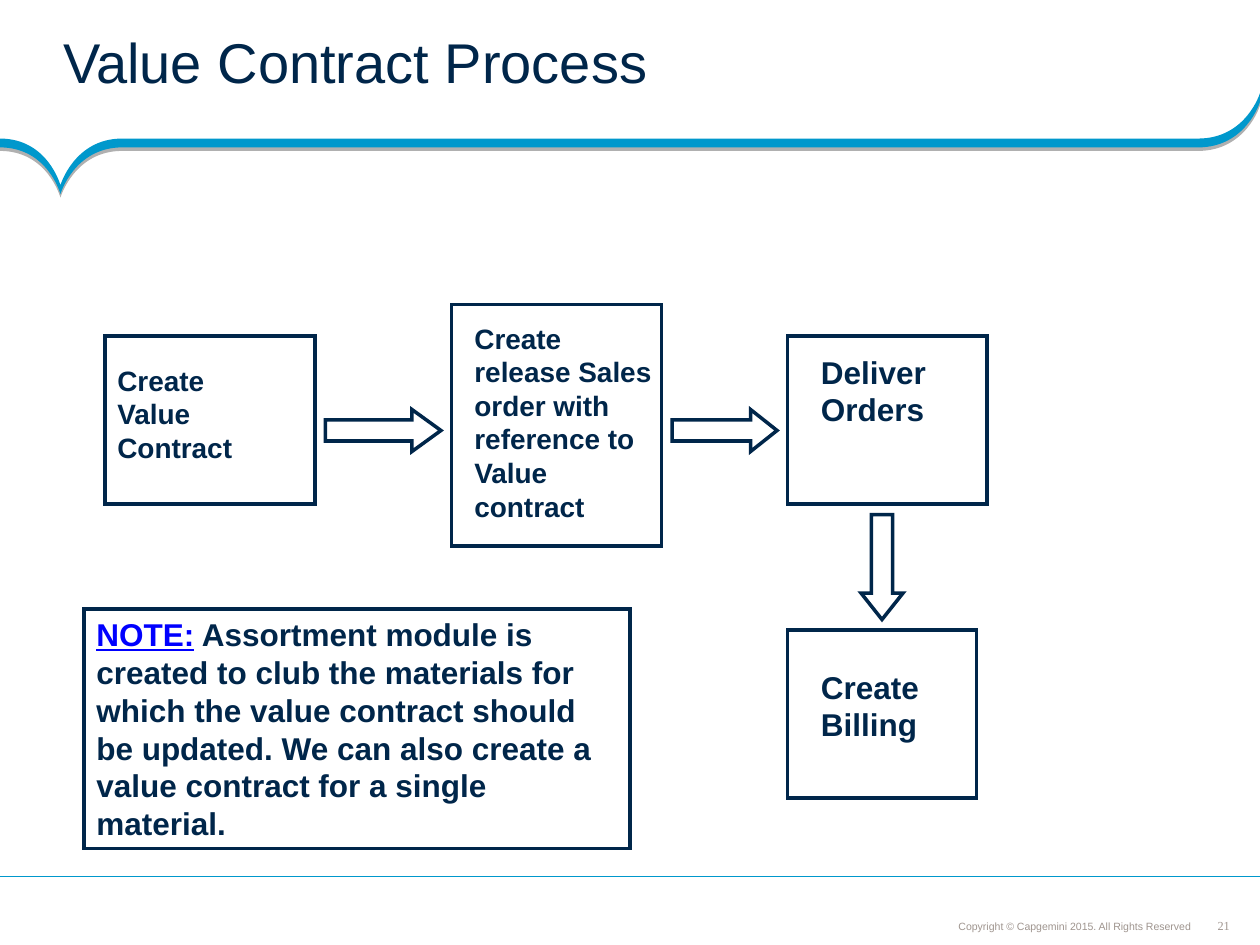
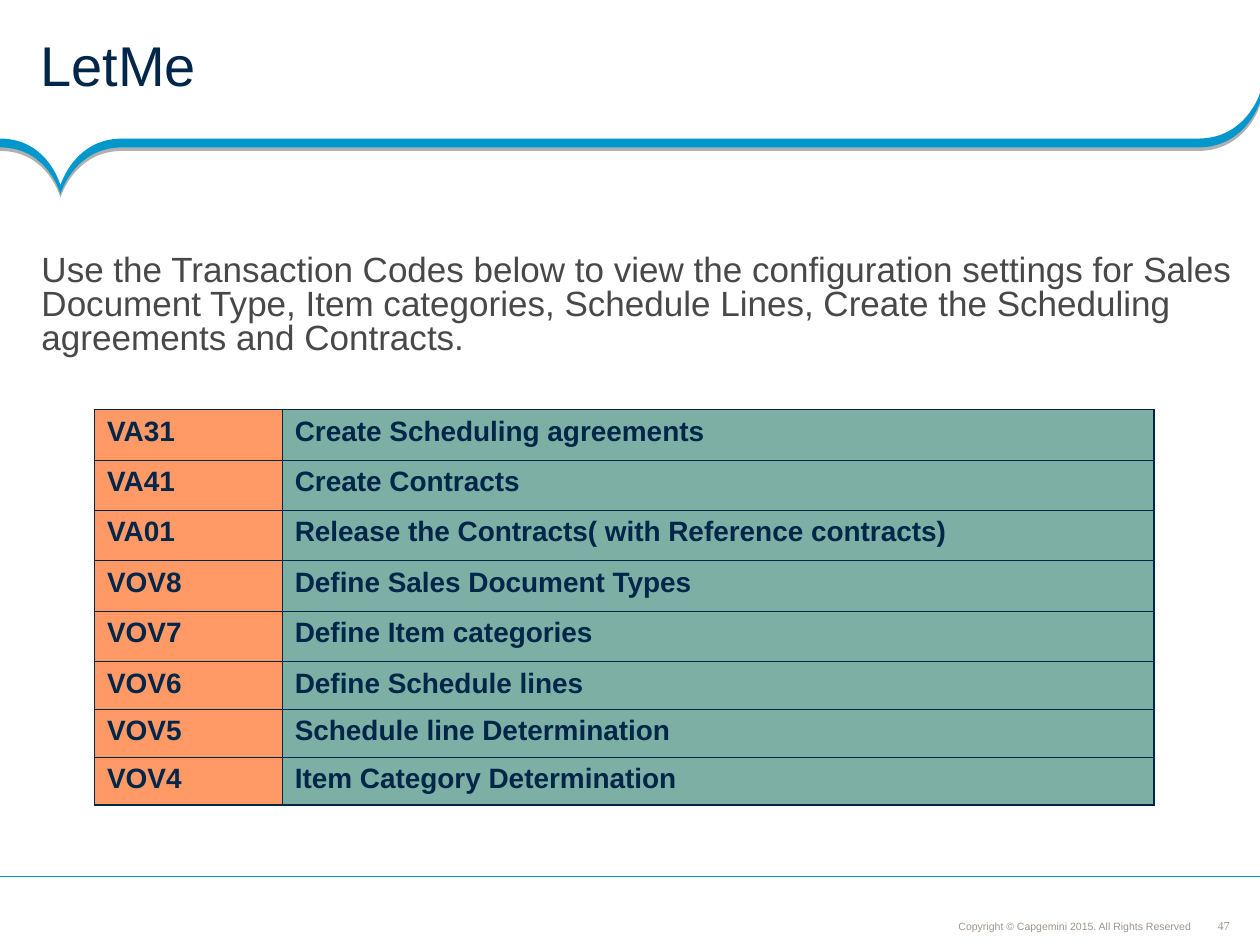
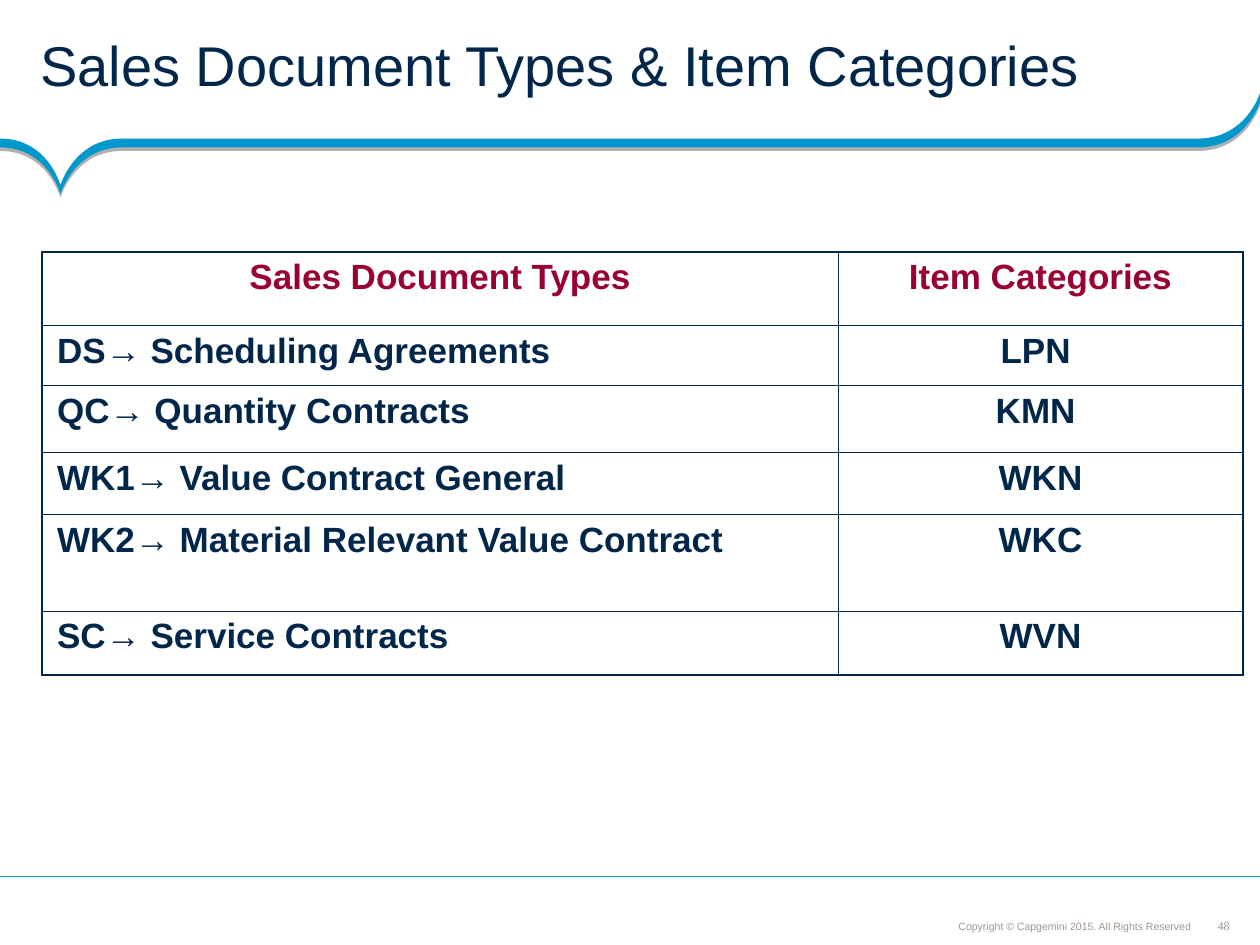
from lxml import etree
from pptx import Presentation
from pptx.dml.color import RGBColor
from pptx.enum.shapes import MSO_CONNECTOR, MSO_SHAPE
from pptx.enum.text import MSO_ANCHOR, PP_ALIGN
from pptx.oxml.ns import qn
from pptx.util import Inches, Pt

NAVY = RGBColor(0x00, 0x26, 0x4A)
BLUE = RGBColor(0x00, 0x98, 0xCC)
LINK = RGBColor(0x00, 0x00, 0xFF)
GREY = RGBColor(0x9F, 0x95, 0x8F)
BODY = RGBColor(0x48, 0x48, 0x48)
WINE = RGBColor(0x99, 0x00, 0x33)
ORANGE = RGBColor(0xFF, 0x99, 0x66)
GREEN = RGBColor(0x7D, 0xAF, 0xA5)
RECT, RIGHT_ARROW, DOWN_ARROW = MSO_SHAPE.RECTANGLE, MSO_SHAPE.RIGHT_ARROW, MSO_SHAPE.DOWN_ARROW
TOP, MIDDLE, BOTTOM = MSO_ANCHOR.TOP, MSO_ANCHOR.MIDDLE, MSO_ANCHOR.BOTTOM
LEFT, CENTER, RIGHT = PP_ALIGN.LEFT, PP_ALIGN.CENTER, PP_ALIGN.RIGHT

GRID = Inches(1) // 12
COLS = 120
ROWS = 90
PAD = (0.1, 0.05, 0.1, 0.05)
NO_PAD = (0, 0, 0, 0)


def add_text(s, box, text, size, color=NAVY, bold=False, pad=PAD, anchor=TOP,
             align=LEFT, spacing=1.0, font="Arial", wrap=True):
    sp = s.shapes.add_textbox(*[int(v * GRID) for v in box])
    tf = sp.text_frame
    tf.word_wrap = wrap
    tf.vertical_anchor = anchor
    tf.margin_left, tf.margin_top, tf.margin_right, tf.margin_bottom = map(Inches, pad)
    tf.text = text
    p = tf.paragraphs[0]
    p.alignment = align
    p.line_spacing = spacing
    for r in p.runs:
        r.font.name, r.font.size, r.font.bold = font, Pt(size), bold
        r.font.color.rgb = color
    return sp


def add_grid_table(s, left, top, widths, heights, rows, size, pad_x):
    frame = s.shapes.add_table(len(heights), len(widths), int(left * GRID), int(top * GRID),
                               Inches(sum(widths)), Inches(sum(heights)))
    table = frame.table
    table.first_row = table.horz_banding = False
    for column, width in zip(table.columns, widths):
        column.width = Inches(width)
    for i, (height, row) in enumerate(zip(heights, rows)):
        table.rows[i].height = Inches(height)
        for j, (text, color, fill, align) in enumerate(row):
            cell = table.cell(i, j)
            cell.margin_left = cell.margin_right = Inches(pad_x)
            cell.margin_top = cell.margin_bottom = Inches(0.05)
            outer = {"lnL": j == 0, "lnR": j == len(widths) - 1,
                     "lnT": i == 0, "lnB": i == len(heights) - 1}
            for side, is_outer in outer.items():
                ln = etree.SubElement(cell._tc.get_or_add_tcPr(), qn("a:" + side),
                                      w=str(Pt(1.08 if is_outer else 0.45)))
                solid = etree.SubElement(ln, qn("a:solidFill"))
                etree.SubElement(solid, qn("a:srgbClr"), val=str(NAVY))
            if fill is None:
                cell.fill.background()
            else:
                cell.fill.solid()
                cell.fill.fore_color.rgb = fill
            cell.text_frame.text = text
            p = cell.text_frame.paragraphs[0]
            p.alignment = align
            r = p.runs[0]
            r.font.name, r.font.size, r.font.bold = "Arial", Pt(size), True
            r.font.color.rgb = color


prs = Presentation()
prs.slide_width = COLS * GRID
prs.slide_height = ROWS * GRID

band_depth = 0.07
upper_edge = [
    (0, 1.1),
    (0.38, 1.1), (0.48, 1.47), (0.48, 1.47),
    (0.48, 1.47), (0.59, 1.1), (0.97, 1.1),
    (0.97, 1.1), (9.51, 1.1), (9.51, 1.1),
    (9.89, 1.1), (10, 0.74), (10, 0.74),
]
lower_edge = [(x, y + band_depth) for x, y in reversed(upper_edge)]
band_points = [(Inches(x), Inches(y)) for x, y in upper_edge + lower_edge[:1] * 2 + lower_edge]

full_title = ((0, 0, COLS, 13.2), (0.32, 0.04, 0.18, 0.04), MIDDLE, 0.85)
pages = [
    ("Value Contract Process", "21", (6, 2.6, 85.3, 8.8), NO_PAD, TOP, 1.0),
    ("LetMe", "47", *full_title),
    ("Sales Document Types & Item Categories", "48", *full_title),
]
slides = []
for title, number, box, pad, anchor, spacing in pages:
    s = prs.slides.add_slide(prs.slide_layouts[6])
    slides.append(s)

    add_text(s, (114.1, 87.5, 4.9, 1.4), number, 7, GREY, pad=NO_PAD, anchor=MIDDLE,
             align=CENTER, font="Times New Roman", wrap=False)

    builder = s.shapes.build_freeform(*band_points[0])
    builder.add_line_segments(band_points[1:], close=True)
    band = builder.convert_to_shape()
    lines = list(band._element.iter(qn("a:lnTo")))
    for first, second, third in zip(lines[::3], lines[1::3], lines[2::3]):
        curve = etree.Element(qn("a:cubicBezTo"))
        first.addprevious(curve)
        for line in (first, second, third):
            curve.append(line[0])
            line.getparent().remove(line)
    band.fill.solid()
    band.fill.fore_color.rgb = BLUE
    band.line.fill.background()
    band.shadow.inherit = False
    effects = band._element.spPr.find(qn("a:effectLst"))
    shadow = etree.SubElement(effects, qn("a:outerShdw"), dist=str(Pt(2)), dir="5400000",
                              algn="ctr", rotWithShape="0")
    shade = etree.SubElement(shadow, qn("a:srgbClr"), val="000000")
    etree.SubElement(shade, qn("a:alpha"), val="31000")

    add_text(s, (81.6, 86.9, 32.3, 2.4), "Copyright © Capgemini 2015. All Rights Reserved",
             6, GREY, pad=(0.04,) * 4, anchor=BOTTOM, align=RIGHT, spacing=0.9)

    rule_y = int(83.5 * GRID)
    rule = s.shapes.add_connector(MSO_CONNECTOR.STRAIGHT, prs.slide_width, rule_y, 0, rule_y)
    rule.line.color.rgb = BLUE
    rule.line.width = Pt(0.75)
    etree.SubElement(rule._element.spPr, qn("a:effectLst"))

    add_text(s, box, title, 32, pad=pad, anchor=anchor, spacing=spacing)

process, codes, types = slides

outlines = [
    (RECT, (10, 32, 20, 16), None),
    (RECT, (43, 29, 20, 23), None),
    (RECT, (75, 32, 19, 16), None),
    (RECT, (75, 60, 18, 16), None),
    (RIGHT_ARROW, (31, 39, 11, 4), 0.69),
    (RIGHT_ARROW, (64, 39, 10, 4), 0.63),
    (DOWN_ARROW, (82, 49, 4, 10), 0.63),
]
outlined = []
for kind, box, head in outlines:
    sp = process.shapes.add_shape(kind, *[v * GRID for v in box])
    sp.shadow.inherit = False
    sp.fill.background()
    if head:
        sp.adjustments[0] = 0.5
        sp.adjustments[1] = head
    outlined.append(sp)

steps_text = [
    ((10, 34, 18, 10.8), "Create Value Contract", 16),
    ((44, 30, 20, 20.4), "Create release Sales order with reference to Value contract", 16),
    ((77, 33, 15, 8.4), "Deliver Orders", 18),
    ((77, 63, 15, 8.4), "Create Billing", 18),
]
for box, text, size in steps_text:
    add_text(process, box, text, size, bold=True)

note = add_text(process, (8, 58, 52, 22.8), "NOTE:", 18, LINK, bold=True)
p = note.text_frame.paragraphs[0]
p.runs[0].font.underline = True
r = p.add_run()
r.text = (" Assortment module is created to club the materials for which the value contract "
          "should be updated. We can also create a value contract for a single material.")
r.font.name, r.font.size, r.font.bold = "Arial", Pt(18), True
r.font.color.rgb = NAVY

for sp in outlined + [note]:
    sp.line.color.rgb = NAVY
    sp.line.width = Pt(2)
    etree.SubElement(sp._element.spPr.find(qn("a:ln")), qn("a:miter"), lim="800000")

add_text(codes, (3.95, 19.7, 114.4, 60.8),
         "Use the Transaction Codes below to view the configuration settings for Sales "
         "Document Type, Item categories, Schedule Lines, Create the Scheduling agreements "
         "and Contracts.", 20, BODY, pad=(0, 0.39, 0, 0), spacing=0.8)

transactions = [
    ("VA31", "Create Scheduling agreements"),
    ("VA41", "Create Contracts"),
    ("VA01", "Release the Contracts( with Reference contracts)"),
    ("VOV8", "Define Sales Document Types"),
    ("VOV7", "Define Item categories"),
    ("VOV6", "Define Schedule lines"),
    ("VOV5", "Schedule line Determination"),
    ("VOV4", "Item Category Determination"),
]
rows = [[(code, NAVY, ORANGE, LEFT), (use, NAVY, GREEN, LEFT)] for code, use in transactions]
add_grid_table(codes, 9, 39, [1.49, 6.92], [0.4] * 5 + [0.38] * 3, rows, 16, 0.1)

categories = [
    ("DS→ Scheduling Agreements", "LPN "),
    ("QC→ Quantity Contracts", "KMN "),
    ("WK1→ Value Contract General", "WKN"),
    ("WK2→ Material Relevant Value Contract", "WKC"),
    ("SC→ Service Contracts", "WVN"),
]
rows = [[("Sales Document Types", WINE, None, CENTER), ("Item Categories", WINE, None, CENTER)]]
rows += [[(kind, NAVY, None, LEFT), (item, NAVY, None, CENTER)] for kind, item in categories]
add_grid_table(types, 4, 24, [6.32, 3.21], [0.58, 0.48, 0.53, 0.49, 0.77, 0.51], rows, 20, 0.12)

prs.save("out.pptx")
